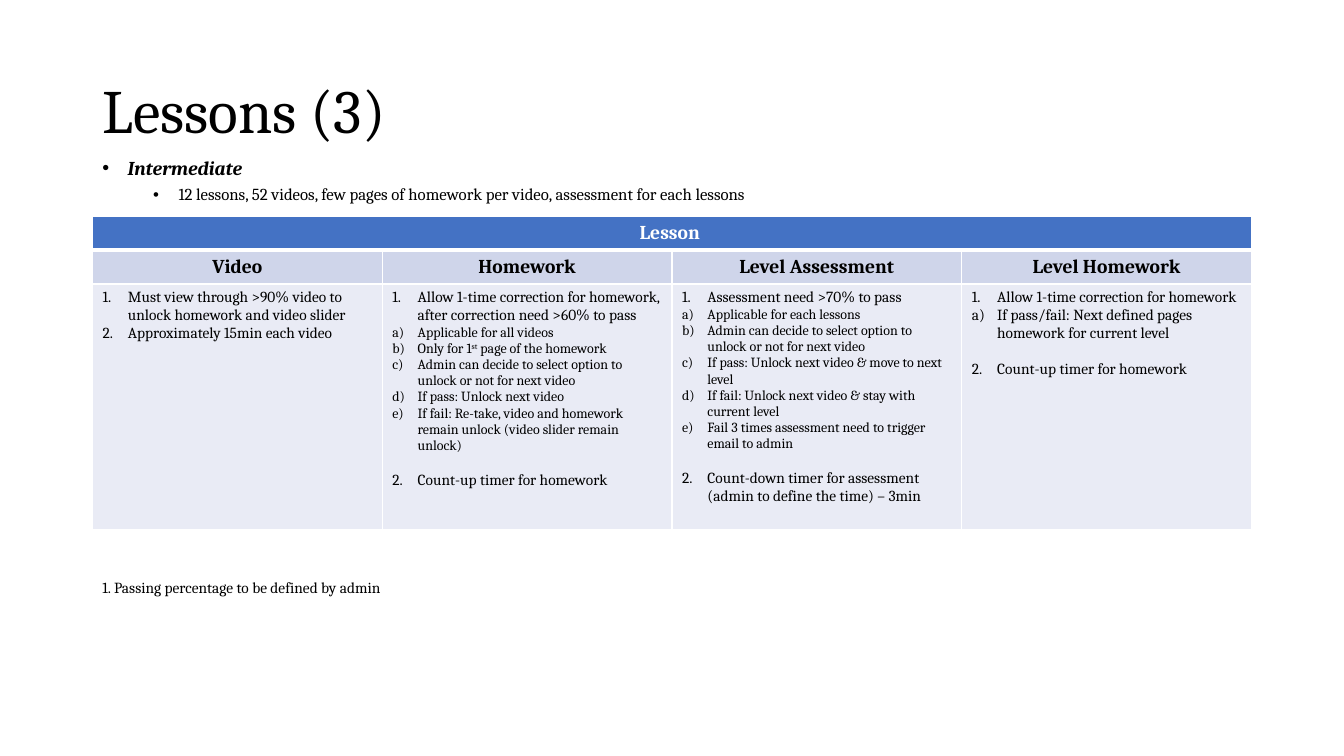
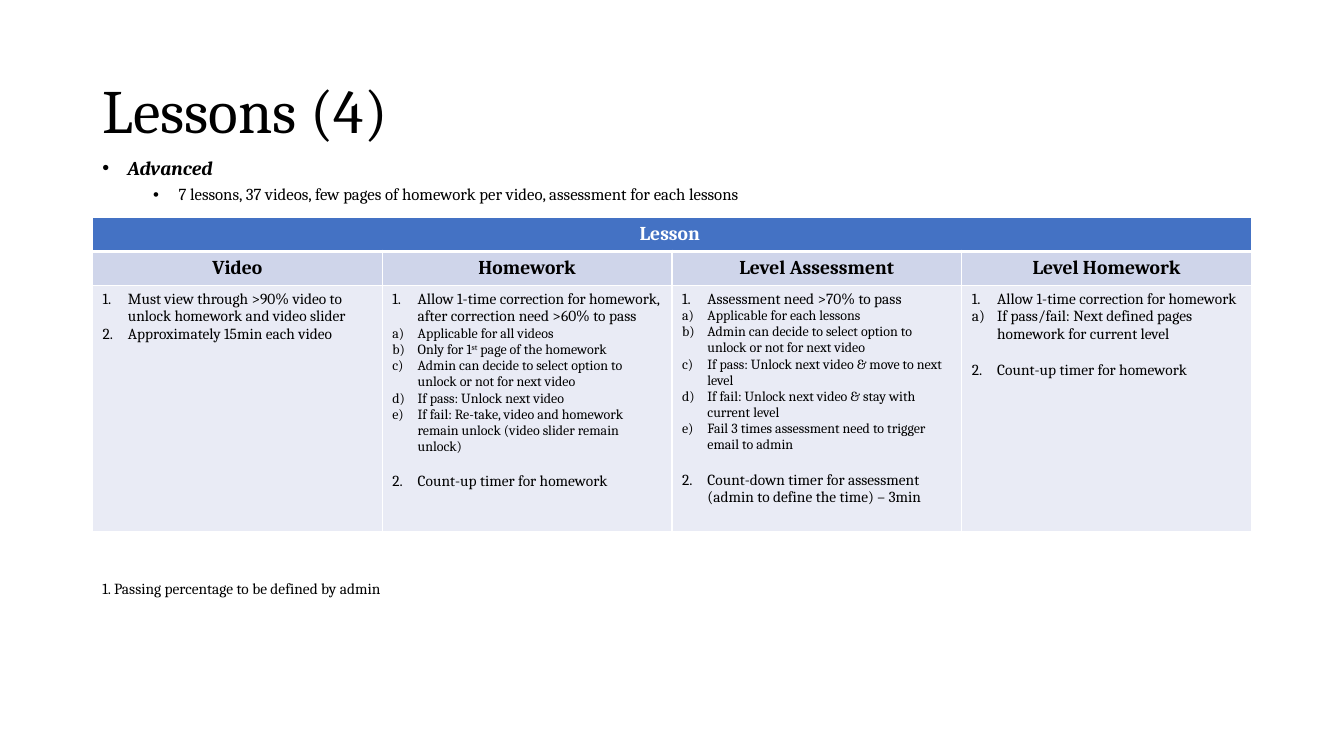
from lxml import etree
from pptx import Presentation
from pptx import util as u
from pptx.dml import color
from pptx.enum import text
from pptx.oxml import ns

# Palette and text formats
BLACK, WHITE = "000000", "FFFFFF"
HEADER_BLUE, SUBHEADER_BLUE, BODY_BLUE = "4472C4", "CFD5EA", "E9EBF5"

TITLE = {"size": u.Pt(44)}
LEVEL_NAME = {"size": u.Pt(14), "bold": True, "italic": True}
SUMMARY = {"size": u.Pt(12)}
HEADING = {"size": u.Pt(14), "bold": True}
ITEM = {"size": u.Pt(11)}
SUBITEM = {"size": u.Pt(10)}

# Page geometry, in centimetres
LEFT, WIDTH = 2.33, 29.21
HANG = 0.64
ROW_HEIGHTS = (0.79, 0.84, 6.2)

# Space before a resumed numbered item, in points
SECTION_GAP = 12.7

# Columns: (numbering, text, format); ^ encloses superscript
NUMBER, LETTER = "arabicPeriod", "alphaLcParenR"
COLUMNS = {
    "Video": [
        (NUMBER, "Must view through >90% video to unlock homework and video slider", ITEM),
        (NUMBER, "Approximately 15min each video", ITEM),
    ],
    "Homework": [
        (NUMBER, "Allow 1-time correction for homework, after correction need >60% to pass", ITEM),
        (LETTER, "Applicable for all videos", SUBITEM),
        (LETTER, "Only for 1^st^ page of the homework", SUBITEM),
        (LETTER, "Admin can decide to select option to unlock or not for next video", SUBITEM),
        (LETTER, "If pass: Unlock next video", SUBITEM),
        (LETTER, "If fail: Re-take, video and homework remain unlock "
                 "(video slider remain unlock)", SUBITEM),
        (NUMBER, "Count-up timer for homework", ITEM),
    ],
    "Level Assessment": [
        (NUMBER, "Assessment need >70% to pass", ITEM),
        (LETTER, "Applicable for each lessons", SUBITEM),
        (LETTER, "Admin can decide to select option to unlock or not for next video", SUBITEM),
        (LETTER, "If pass: Unlock next video & move to next level", SUBITEM),
        (LETTER, "If fail: Unlock next video & stay with current level", SUBITEM),
        (LETTER, "Fail 3 times assessment need to trigger email to admin", SUBITEM),
        (NUMBER, "Count-down timer for assessment (admin to define the time) – 3min", ITEM),
    ],
    "Level Homework": [
        (NUMBER, "Allow 1-time correction for homework", ITEM),
        (LETTER, "If pass/fail: Next defined pages homework for current level", ITEM),
        (NUMBER, "Count-up timer for homework", ITEM),
    ],
}

# Slides: title, level, summary, table top, note top
LESSONS = [
    ("Lessons (3)", "Intermediate",
     "12 lessons, 52 videos, few pages of homework per video, assessment for each lessons",
     5.46, 14.45),
    ("Lessons (4)", "Advanced",
     "7 lessons, 37 videos, few pages of homework per video, assessment for each lessons",
     5.49, 14.48),
]


def rgb(value):
    return color.RGBColor.from_string(value)


def add_xml(parent, tag, **attributes):
    return etree.SubElement(parent, ns.qn(tag), attributes)


class LessonDeck:
    font_name = "Cambria"

    def __init__(self):
        self.presentation = Presentation()
        self.presentation.slide_width = u.Cm(33.87)
        self.presentation.slide_height = u.Cm(19.05)
        self.slide = None

    def new_slide(self):
        self.slide = self.presentation.slides.add_slide(self.presentation.slide_layouts[6])

    def fill_paragraph(self, paragraph, content, style, ink=BLACK, **layout):
        for position, piece in enumerate(content.split("^")):
            run = paragraph.add_run()
            run.text = piece
            run.font.name = self.font_name
            run.font.color.rgb = rgb(ink)
            for name, value in style.items():
                setattr(run.font, name, value)
            if position % 2:
                run.font._element.set("baseline", "30000")
        for name, value in layout.items():
            setattr(paragraph, name, value)

    def mark(self, paragraph, margin, numbering=None, start=1):
        """Give a paragraph a hanging bullet or an automatic number."""
        properties = paragraph._p.get_or_add_pPr()
        properties.set("marL", str(u.Cm(margin)))
        properties.set("indent", str(-u.Cm(HANG)))
        if numbering is None:
            add_xml(properties, "a:buFont", typeface="Arial")
            add_xml(properties, "a:buChar", char="•")
            return
        number = add_xml(properties, "a:buAutoNum", type=numbering)
        if start > 1:
            number.set("startAt", str(start))

    def text_box(self, top, width, height, **frame_format):
        shape = self.slide.shapes.add_textbox(u.Cm(LEFT), u.Cm(top), u.Cm(width), u.Cm(height))
        for name, value in {"word_wrap": True, **frame_format}.items():
            setattr(shape.text_frame, name, value)
        return shape.text_frame

    def title(self, content):
        frame = self.text_box(1.01, WIDTH, 3.68, vertical_anchor=text.MSO_ANCHOR.MIDDLE)
        self.fill_paragraph(frame.paragraphs[0], content, TITLE, line_spacing=0.9)

    def overview(self, level, summary):
        frame = self.text_box(3.86, WIDTH, 1.73)
        heading, detail = frame.paragraphs[0], frame.add_paragraph()
        self.mark(heading, HANG)
        self.fill_paragraph(heading, level, LEVEL_NAME,
                            line_spacing=0.9, space_before=u.Pt(10))
        self.mark(detail, 3 * HANG)
        self.fill_paragraph(detail, summary, SUMMARY,
                            line_spacing=0.9, space_before=u.Pt(5), level=1)

    def note(self, top, content):
        frame = self.text_box(top, 8.03, 0.74, word_wrap=False,
                              auto_size=text.MSO_AUTO_SIZE.SHAPE_TO_FIT_TEXT)
        self.fill_paragraph(frame.paragraphs[0], content, ITEM)

    def style_cell(self, cell, fill, top=1, bottom=1):
        properties = cell._tc.get_or_add_tcPr()
        for side, width in {"L": 1, "R": 1, "T": top, "B": bottom}.items():
            line = add_xml(properties, f"a:ln{side}", w=str(u.Pt(width)))
            add_xml(add_xml(line, "a:solidFill"), "a:srgbClr", val=WHITE)
        cell.fill.solid()
        cell.fill.fore_color.rgb = rgb(fill)

    def heading_cell(self, cell, content, ink=BLACK):
        self.fill_paragraph(cell.text_frame.paragraphs[0], content, HEADING, ink,
                            alignment=text.PP_ALIGN.CENTER)

    def list_cell(self, cell, items):
        frame = cell.text_frame
        previous, count = None, 0
        for position, (numbering, content, style) in enumerate(items):
            paragraph = frame.add_paragraph() if position else frame.paragraphs[0]
            resumes = numbering == NUMBER and previous == LETTER
            count += numbering == NUMBER
            self.mark(paragraph, HANG, numbering, count if resumes else 1)
            self.fill_paragraph(paragraph, content, style)
            if resumes:
                paragraph.space_before = u.Pt(SECTION_GAP)
            previous = numbering

    def lesson_table(self, top, columns):
        table = self.slide.shapes.add_table(
            len(ROW_HEIGHTS), len(columns), u.Cm(LEFT), u.Cm(top),
            u.Cm(WIDTH), u.Cm(sum(ROW_HEIGHTS))).table
        table.horz_banding = table.first_row = False
        for row, height in zip(table.rows, ROW_HEIGHTS):
            row.height = u.Cm(height)
        for index, (heading, items) in enumerate(columns.items()):
            self.style_cell(table.cell(0, index), HEADER_BLUE, bottom=3)
            self.style_cell(table.cell(1, index), SUBHEADER_BLUE, top=3)
            self.style_cell(table.cell(2, index), BODY_BLUE)
            self.heading_cell(table.cell(1, index), heading)
            self.list_cell(table.cell(2, index), items)
        table.cell(0, 0).merge(table.cell(0, len(columns) - 1))
        self.heading_cell(table.cell(0, 0), "Lesson ", WHITE)


def main():
    deck = LessonDeck()
    for title, level, summary, table_top, note_top in LESSONS:
        deck.new_slide()
        deck.title(title)
        deck.overview(level, summary)
        deck.lesson_table(table_top, COLUMNS)
        deck.note(note_top, "1. Passing percentage to be defined by admin")
    deck.presentation.save("out.pptx")


if __name__ == "__main__":
    main()
